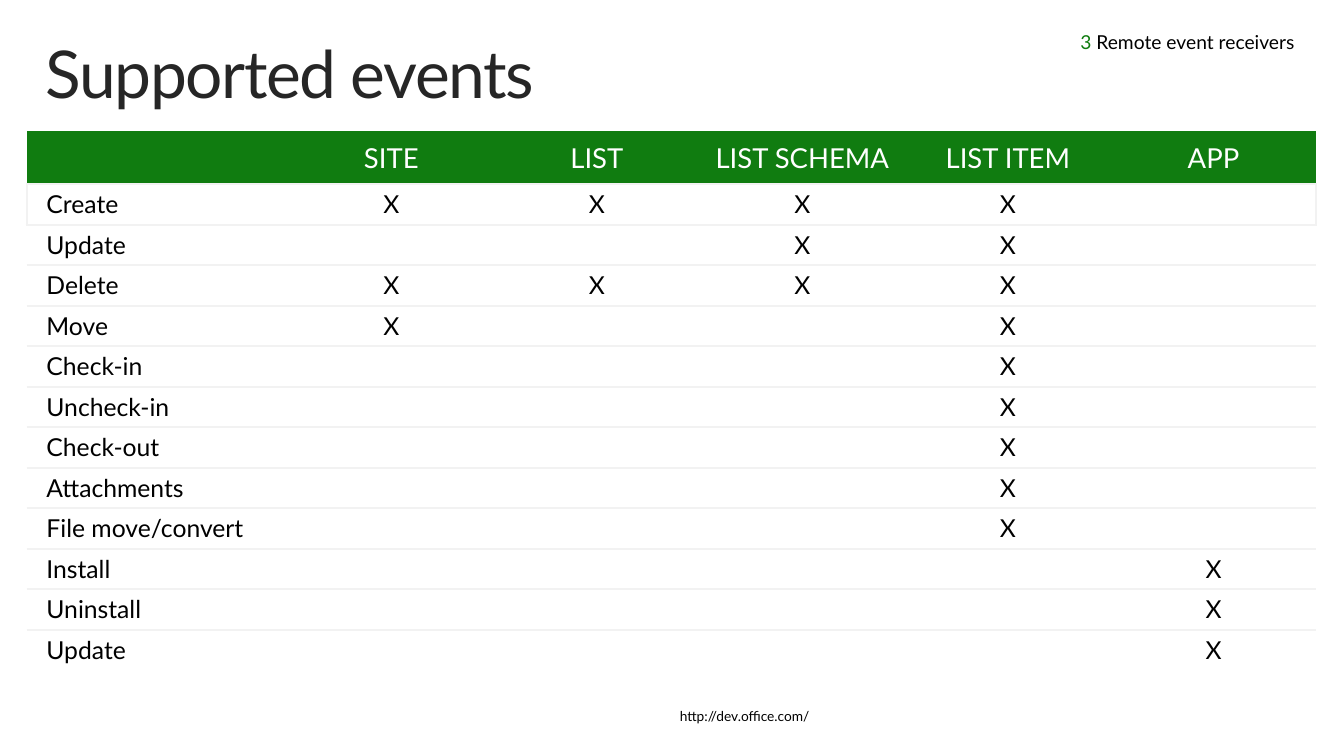
from dataclasses import dataclass
from lxml import etree
from pptx import Presentation
from pptx.dml.color import RGBColor as Rgb
from pptx.enum.text import MSO_ANCHOR as Anchor, MSO_AUTO_SIZE as Fit, PP_ALIGN as Align
from pptx.oxml.ns import qn
from pptx.util import Emu, Pt

SCALE = 9144  # EMU per px, 100 px to the inch
PLAIN = "{2D5ABB26-0587-4C30-8999-92F81FD0307C}"  # table style without grid


@dataclass(frozen=True)
class Theme:
    font: str = "Lato"
    green: str = "107C10"
    white: str = "FFFFFF"
    black: str = "000000"
    dark: str = "262626"
    rule: str = "F2F2F2"
    title: int = 48
    head: int = 20
    body: int = 18
    label: int = 14
    foot: int = 10


THEME = Theme()
HEADS = ["", "SITE", "LIST", "LIST SCHEMA", "LIST ITEM", "APP"]
EVENTS = [
    ("Create", "SITE", "LIST", "LIST SCHEMA", "LIST ITEM"),
    ("Update", "LIST SCHEMA", "LIST ITEM"),
    ("Delete", "SITE", "LIST", "LIST SCHEMA", "LIST ITEM"),
    ("Move", "SITE", "LIST ITEM"),
    ("Check-in", "LIST ITEM"),
    ("Uncheck-in", "LIST ITEM"),
    ("Check-out", "LIST ITEM"),
    ("Attachments", "LIST ITEM"),
    ("File move/convert", "LIST ITEM"),
    ("Install", "APP"),
    ("Uninstall", "APP"),
    ("Update", "APP"),
]


def px(size):
    return Emu(size * SCALE)


def apply(item, values):
    for name, value in values.items():
        setattr(item, name, value)


def inset(item, left, top, right, bottom):
    sides = {"left": left, "top": top, "right": right, "bottom": bottom}
    apply(item, {f"margin_{side}": px(size) for side, size in sides.items()})


def add_run(para, text, size, color):
    run = para.add_run()
    run.text = text
    apply(run.font, {"name": THEME.font, "size": Pt(size), "bold": False})
    run.font.color.rgb = Rgb.from_string(color)
    return run


def add_title(slide, text):
    title = slide.shapes.title
    apply(title, {"left": px(30), "top": px(32), "width": px(1300), "height": px(100)})
    frame = title.text_frame
    apply(frame, {"vertical_anchor": Anchor.TOP, "auto_size": Fit.NONE, "word_wrap": True})
    inset(frame, 16, 10, 16, 10)
    para = frame.paragraphs[0]
    apply(para, {"alignment": Align.LEFT, "line_spacing": 0.9})
    run = add_run(para, text, THEME.title, THEME.dark)
    run._r.get_or_add_rPr().set("spc", "-100")


def add_text(slide, box, pad, parts, form, wrap=True):
    """Add a one-line box; parts are (text, size, color) runs."""
    frame = slide.shapes.add_textbox(*map(px, box)).text_frame
    apply(frame, {"word_wrap": wrap, "vertical_anchor": Anchor.TOP})
    inset(frame, *pad)
    para = frame.paragraphs[0]
    apply(para, form)
    for part in parts:
        add_run(para, *part)


def add_edge(cell, side):
    """Rule one side of a cell: L, R, T or B, in that order, before its fill."""
    line = etree.SubElement(cell._tc.get_or_add_tcPr(), qn(f"a:ln{side}"), w=str(Pt(1.5)))
    fill = etree.SubElement(line, qn("a:solidFill"))
    etree.SubElement(fill, qn("a:srgbClr"), val=THEME.rule)


def fill_cell(cell, text, size, color, back, pad, align, edges):
    for side in edges:
        add_edge(cell, side)
    cell.fill.solid()
    cell.fill.fore_color.rgb = Rgb.from_string(back)
    inset(cell, *pad)
    para = cell.text_frame.paragraphs[0]
    para.alignment = align
    para.font.size = Pt(size)
    if text:
        add_run(para, text, size, color)


def add_grid(slide):
    rows, cols = len(EVENTS) + 1, len(HEADS)
    widths = [265] + [208] * (cols - 1)
    heights = [53] + [41] * (rows - 1)
    box = (27, 133, sum(widths), sum(heights))
    table = slide.shapes.add_table(rows, cols, *map(px, box)).table
    apply(table, {"first_row": False, "horz_banding": False})
    table._tbl.tblPr.find(qn("a:tableStyleId")).text = PLAIN
    for col, width in zip(table.columns, widths):
        col.width = px(width)
    for row, height in zip(table.rows, heights):
        row.height = px(height)

    for c, head in enumerate(HEADS):
        fill_cell(table.cell(0, c), head, THEME.head, THEME.white, THEME.green,
                  (10, 10, 10, 10), Align.CENTER, "B")
    for r, (event, *scopes) in enumerate(EVENTS, 1):
        for c, head in enumerate(HEADS):
            text = ("X" if head in scopes else "") if c else event
            pad = (10 if c else 20, 5, 10, 5)
            edges = "T" if r == rows - 1 else "TB"
            if r == 1:
                edges = {0: "L", cols - 1: "R"}.get(c, "") + edges
            fill_cell(table.cell(r, c), text, THEME.body, THEME.black, THEME.white,
                      pad, Align.CENTER if c else Align.LEFT, edges)


def main():
    deck = Presentation()
    apply(deck, {"slide_width": px(1360), "slide_height": px(765)})
    slide = deck.slides.add_slide(deck.slide_layouts[5])
    add_text(slide, (672, 711, 166, 35), (16, 10, 16, 10),
             [("http://dev.office.com/", THEME.foot, THEME.black)],
             {"line_spacing": 0.9}, wrap=False)
    add_title(slide, "Supported events")
    add_grid(slide)
    add_text(slide, (871, 31, 459, 41), (10, 0, 20, 0),
             [("3", THEME.label, THEME.green),
              (" Remote event receivers", THEME.label, THEME.black)],
             {"alignment": Align.RIGHT})
    deck.save("out.pptx")


if __name__ == "__main__":
    main()
